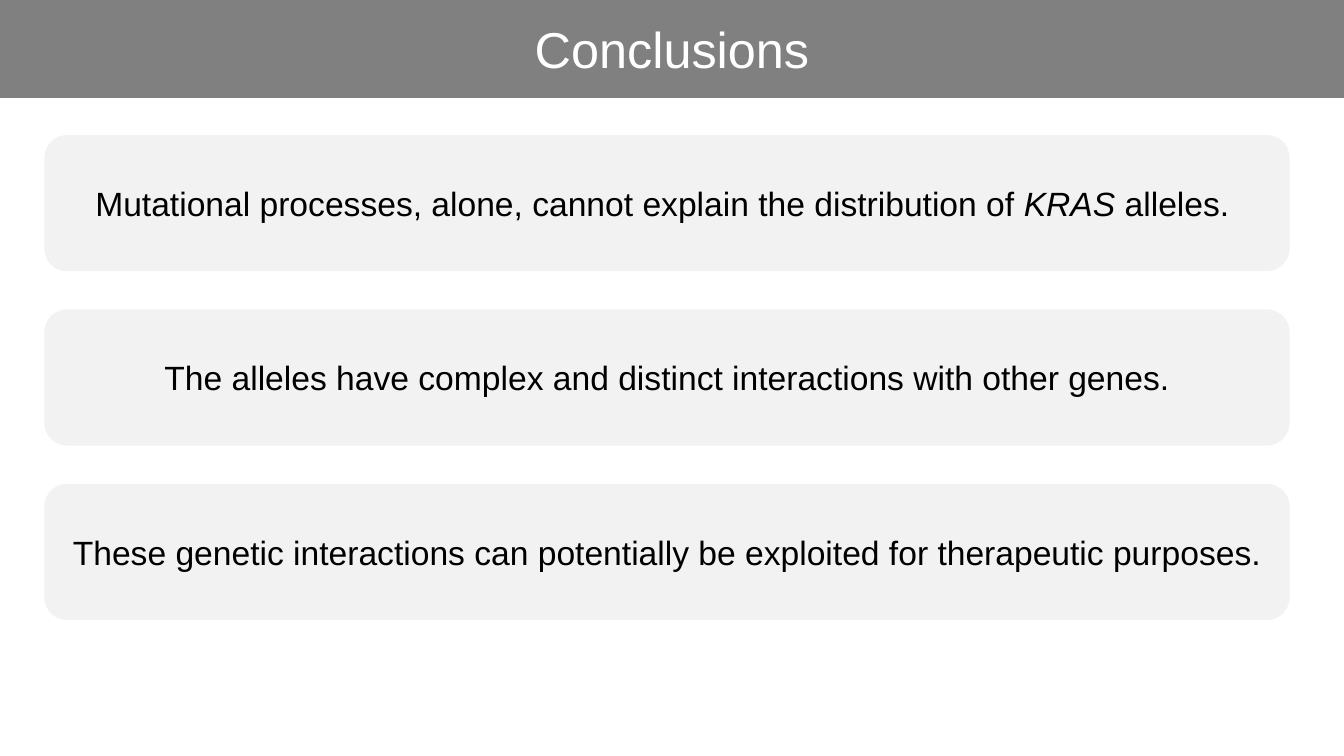
from dataclasses import dataclass

from pptx import Presentation
from pptx import util as u
from pptx.dml.color import RGBColor
from pptx.enum import shapes, text
from pptx.slide import Slide

PX = 9144  # EMU in one px, at 100 px to the inch
GRAY = RGBColor(0x80, 0x80, 0x80)
PALE = RGBColor(0xF2, 0xF2, 0xF2)
WHITE = RGBColor(0xFF, 0xFF, 0xFF)
BLACK = RGBColor(0x00, 0x00, 0x00)
FONT = "Arial"
TOP, STEP = 134, 173


@dataclass(frozen=True)
class Run:
    words: str
    slant: bool = False


@dataclass(frozen=True)
class Panel:
    kind: shapes.MSO_SHAPE
    left: int
    top: int
    width: int
    height: int
    fill: RGBColor
    ink: RGBColor
    size: int
    runs: tuple[Run, ...]
    edge: RGBColor | None = None


POINTS = (
    (
        Run("Mutational processes, alone, cannot explain the distribution of "),
        Run("KRAS", slant=True),
        Run(" alleles. "),
    ),
    (Run("The alleles have complex and distinct interactions with other genes."),),
    (Run("These genetic interactions can potentially be exploited for therapeutic purposes."),),
)

HEADER = Panel(shapes.MSO_SHAPE.RECTANGLE, 0, -1, 1333, 98, GRAY, WHITE, 36,
               (Run("Conclusions"),), edge=GRAY)
CARDS = [
    Panel(shapes.MSO_SHAPE.ROUNDED_RECTANGLE, 44, TOP + row * STEP, 1235, 135,
          PALE, BLACK, 24, runs)
    for row, runs in enumerate(POINTS)
]


def draw(slide: Slide, panel: Panel) -> None:
    box = (panel.left, panel.top, panel.width, panel.height)
    shape = slide.shapes.add_shape(panel.kind, *(u.Emu(n * PX) for n in box))
    shape.shadow.inherit = False
    shape.fill.solid()
    shape.fill.fore_color.rgb = panel.fill
    if panel.edge is None:
        shape.line.fill.background()
    else:
        shape.line.color.rgb = panel.edge
        shape.line.width = u.Pt(1)

    frame = shape.text_frame
    frame.word_wrap = True
    frame.vertical_anchor = text.MSO_ANCHOR.MIDDLE
    para = frame.paragraphs[0]
    para.alignment = text.PP_ALIGN.CENTER
    for part in panel.runs:
        run = para.add_run()
        run.text = part.words
        run.font.name = FONT
        run.font.size = u.Pt(panel.size)
        run.font.italic = part.slant
        run.font.color.rgb = panel.ink


def main() -> None:
    deck = Presentation()
    deck.slide_width = u.Emu(1333 * PX)
    deck.slide_height = u.Emu(750 * PX)
    slide = deck.slides.add_slide(deck.slide_layouts[6])
    for panel in (HEADER, *CARDS):
        draw(slide, panel)
    deck.save("out.pptx")


if __name__ == "__main__":
    main()
